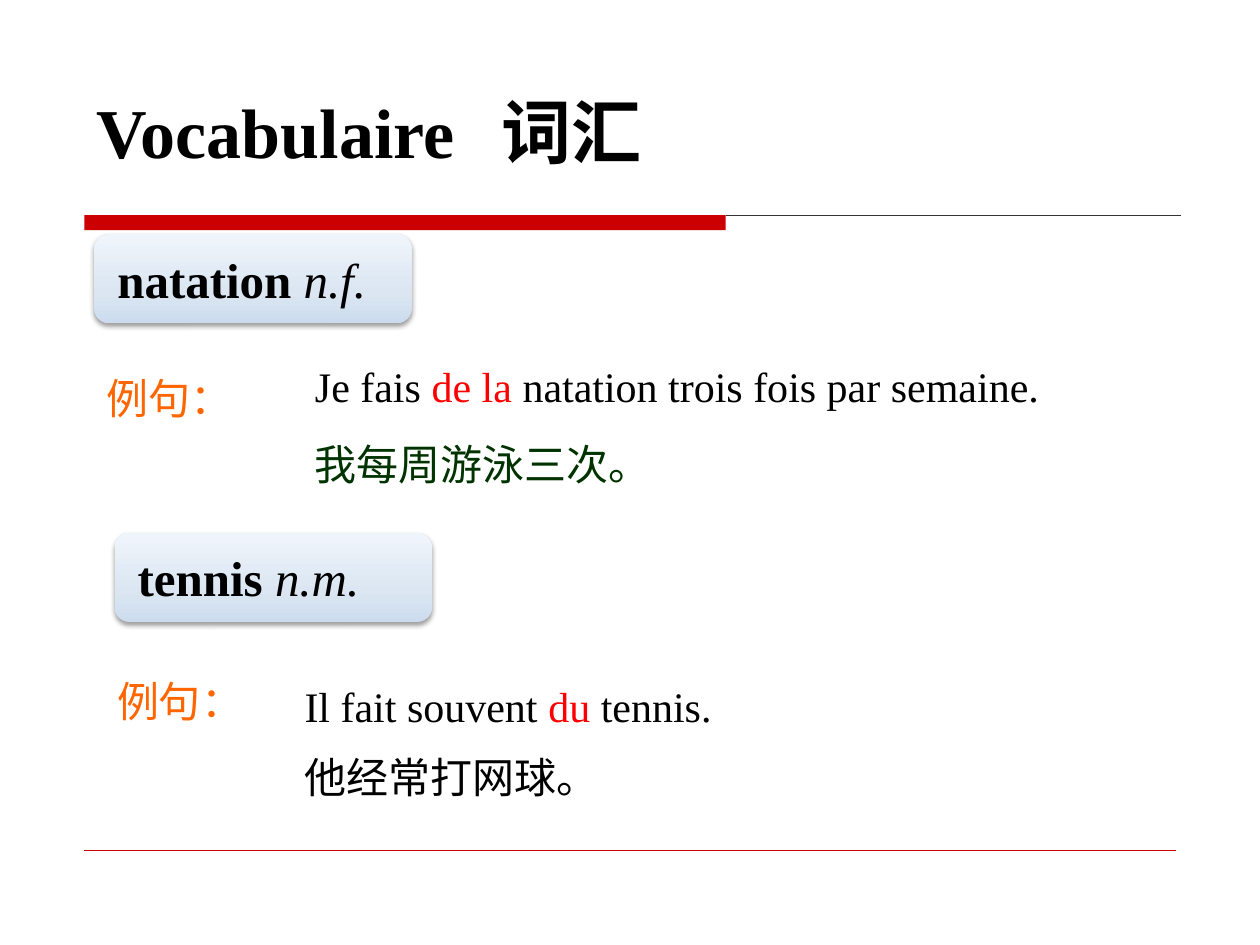
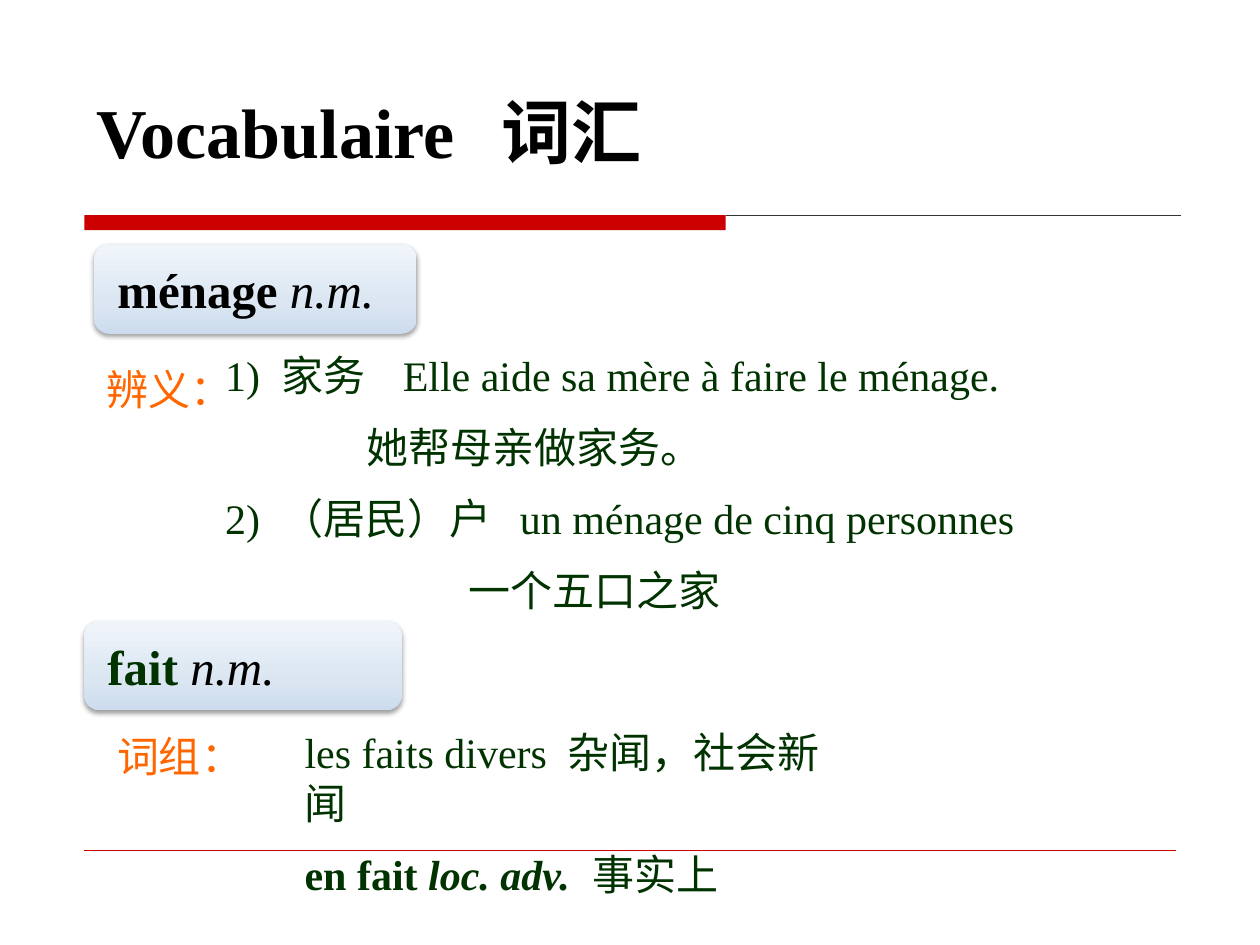
from copy import deepcopy
from dataclasses import dataclass

from lxml import etree
from pptx import Presentation
from pptx.dml.color import RGBColor
from pptx.enum import shapes, text
from pptx.oxml import ns
from pptx.util import Cm, Pt


@dataclass(frozen=True)
class Theme:
    latin: str = "Times New Roman"
    chinese: str = "Noto Sans CJK SC"
    black: str = "000000"
    green: str = "003300"
    red: str = "FF0000"
    orange: str = "FF6600"
    band: str = "CC0000"
    rule: str = "333333"
    tag_stops: tuple = ((0, "CCDCEE"), (0.35, "DBE6F2"), (1, "F0F5FB"))
    title_size: int = 40
    tag_size: int = 28
    body_size: int = 24


theme = Theme()


def write(paragraph, runs, size, tabs=(), latin=theme.latin):
    """Add (text, colour, style) runs; style may hold b for bold and i for italic."""
    properties = paragraph._p.get_or_add_pPr()
    if tabs:
        tab_list = etree.SubElement(properties, ns.qn("a:tabLst"))
        for position in tabs:
            etree.SubElement(tab_list, ns.qn("a:tab"), pos=str(Cm(position)), algn="l")
    paragraph.alignment = text.PP_ALIGN.LEFT
    paragraph.line_spacing = Pt(size * 1.2)
    for words, colour, style in runs:
        run = paragraph.add_run()
        run.text = words
        run.font.name = latin
        run.font.size = Pt(size)
        run.font.bold = "b" in style
        run.font.italic = "i" in style
        run.font.color.rgb = RGBColor.from_string(colour)
        etree.SubElement(run._r.get_or_add_rPr(), ns.qn("a:ea"), typeface=theme.chinese)


def add_rule(slide, left, right, y, colour, width):
    line = slide.shapes.add_connector(
        shapes.MSO_CONNECTOR.STRAIGHT, Cm(left), Cm(y), Cm(right), Cm(y))
    line.line.color.rgb = RGBColor.from_string(colour)
    line.line.width = Pt(width)
    etree.SubElement(line._element.spPr, ns.qn("a:effectLst"))


black, green, red = theme.black, theme.green, theme.red

# Tags: left, top, width, word, word colour, word class.
# Labels: left, top, words.
# Bodies: left, top, width, height, space between, paragraphs (indent, tabs, runs).
vocabulary = [
    {
        "tags": [(1.9, 4.72, 6.4, "natation ", black, "n.f."),
                 (2.31, 10.74, 6.4, "tennis ", black, "n.m.")],
        "labels": [(1.9, 7.39, "例句："), (2.11, 13.49, "例句：")],
        "bodies": [
            (6.1, 7.14, 16.4, 2.82, 16, [
                (0, (), [("Je fais ", black, ""), ("de la ", red, ""),
                         ("natation trois fois par semaine.", black, "")]),
                (0, (), [("我每周游泳三次。", green, "")]),
            ]),
            (5.89, 13.59, 9.02, 2.74, 12, [
                (0, (), [("Il fait souvent ", black, ""), ("du", red, ""),
                         (" tennis.", black, "")]),
                (0, (), [("他经常打网球。", black, "")]),
            ]),
        ],
    },
    {
        "tags": [(1.9, 4.93, 6.5, "ménage ", black, "n.m."),
                 (1.7, 12.52, 6.4, "fait ", green, "n.m.")],
        "labels": [(1.9, 7.21, "辨义："), (2.11, 14.61, "词组：")],
        "bodies": [
            (4.29, 6.93, 20.5, 5.64, 12, [
                (0, (1.14, 3.58),
                 [("1)\t家务\tElle aide sa mère à faire le ménage.", green, "")]),
                (2.85, (), [("她帮母亲做家务。", green, "")]),
                (0, (1.14, 5.94),
                 [("2)\t（居民）户\tun ménage de cinq personnes", green, "")]),
                (4.9, (), [("一个五口之家", green, "")]),
            ]),
            (5.89, 14.53, 11.4, 2.74, 12, [
                (0, (5.3,), [("les faits divers\t杂闻，社会新闻", green, "")]),
                (0, (5.8,), [("en fait ", green, "b"), ("loc. adv.", green, "bi"),
                             ("\t事实上", green, "")]),
            ]),
        ],
    },
]

presentation = Presentation()
presentation.slide_width = Cm(25.4)
presentation.slide_height = Cm(19.05)

for entry in vocabulary:
    slide = presentation.slides.add_slide(presentation.slide_layouts[5])

    # Band and rules
    band = slide.shapes.add_shape(
        shapes.MSO_SHAPE.RECTANGLE, Cm(1.7), Cm(4.34), Cm(12.93), Cm(0.3))
    band.shadow.inherit = False
    band.fill.solid()
    band.fill.fore_color.rgb = RGBColor.from_string(theme.band)
    band.line.fill.background()
    add_rule(slide, 14.63, 23.8, 4.34, theme.rule, 0.75)
    add_rule(slide, 1.7, 23.7, 17.15, theme.band, 0.25)

    # Title
    title = slide.shapes.title
    title.left, title.top, title.width, title.height = Cm(1.7), Cm(1.65), Cm(19.8), Cm(1.96)
    frame = title.text_frame
    frame.auto_size = text.MSO_AUTO_SIZE.NONE
    frame.vertical_anchor = text.MSO_ANCHOR.TOP
    write(frame.paragraphs[0], [("Vocabulaire\t词汇", black, "b")],
          theme.title_size, tabs=(8.15,))

    # Word tags
    for left, top, width, word, colour, word_class in entry["tags"]:
        tag = slide.shapes.add_shape(
            shapes.MSO_SHAPE.ROUNDED_RECTANGLE, Cm(left), Cm(top), Cm(width), Cm(1.8))
        tag.line.fill.background()
        tag.fill.gradient()
        tag.fill.gradient_angle = 90
        stop_list = tag._element.spPr.find(".//" + ns.qn("a:gsLst"))
        stop_list.append(deepcopy(stop_list[0]))
        for stop, (position, stop_colour) in zip(tag.fill.gradient_stops, theme.tag_stops):
            stop.position = position
            stop.color.rgb = RGBColor.from_string(stop_colour)
        tag.shadow.inherit = False
        effects = tag._element.spPr.find(ns.qn("a:effectLst"))
        shadow = etree.SubElement(
            effects, ns.qn("a:outerShdw"), blurRad=str(Pt(3.1)), dist=str(Pt(1.6)),
            dir="5400000", rotWithShape="0")
        shade = etree.SubElement(shadow, ns.qn("a:srgbClr"), val=black)
        etree.SubElement(shade, ns.qn("a:alpha"), val="38000")
        frame = tag.text_frame
        frame.word_wrap = True
        frame.vertical_anchor = text.MSO_ANCHOR.MIDDLE
        frame.margin_left = frame.margin_right = Cm(0.38)
        write(frame.paragraphs[0], [(word, colour, "b"), (word_class, black, "i")],
              theme.tag_size)

    # Orange labels
    for left, top, words in entry["labels"]:
        label = slide.shapes.add_textbox(Cm(left), Cm(top), Cm(4), Cm(1.27))
        label.text_frame.word_wrap = True
        write(label.text_frame.paragraphs[0], [(words, theme.orange, "")],
              theme.body_size, latin=theme.chinese)

    # Examples and phrases
    for left, top, width, height, gap, paragraphs in entry["bodies"]:
        body = slide.shapes.add_textbox(Cm(left), Cm(top), Cm(width), Cm(height))
        frame = body.text_frame
        frame.word_wrap = True
        for index, (indent, tabs, runs) in enumerate(paragraphs):
            paragraph = frame.add_paragraph() if index else frame.paragraphs[0]
            write(paragraph, runs, theme.body_size, tabs)
            if index:
                paragraph.space_before = Pt(gap)
            if indent:
                paragraph._p.get_or_add_pPr().set("marL", str(Cm(indent)))

presentation.save("out.pptx")
